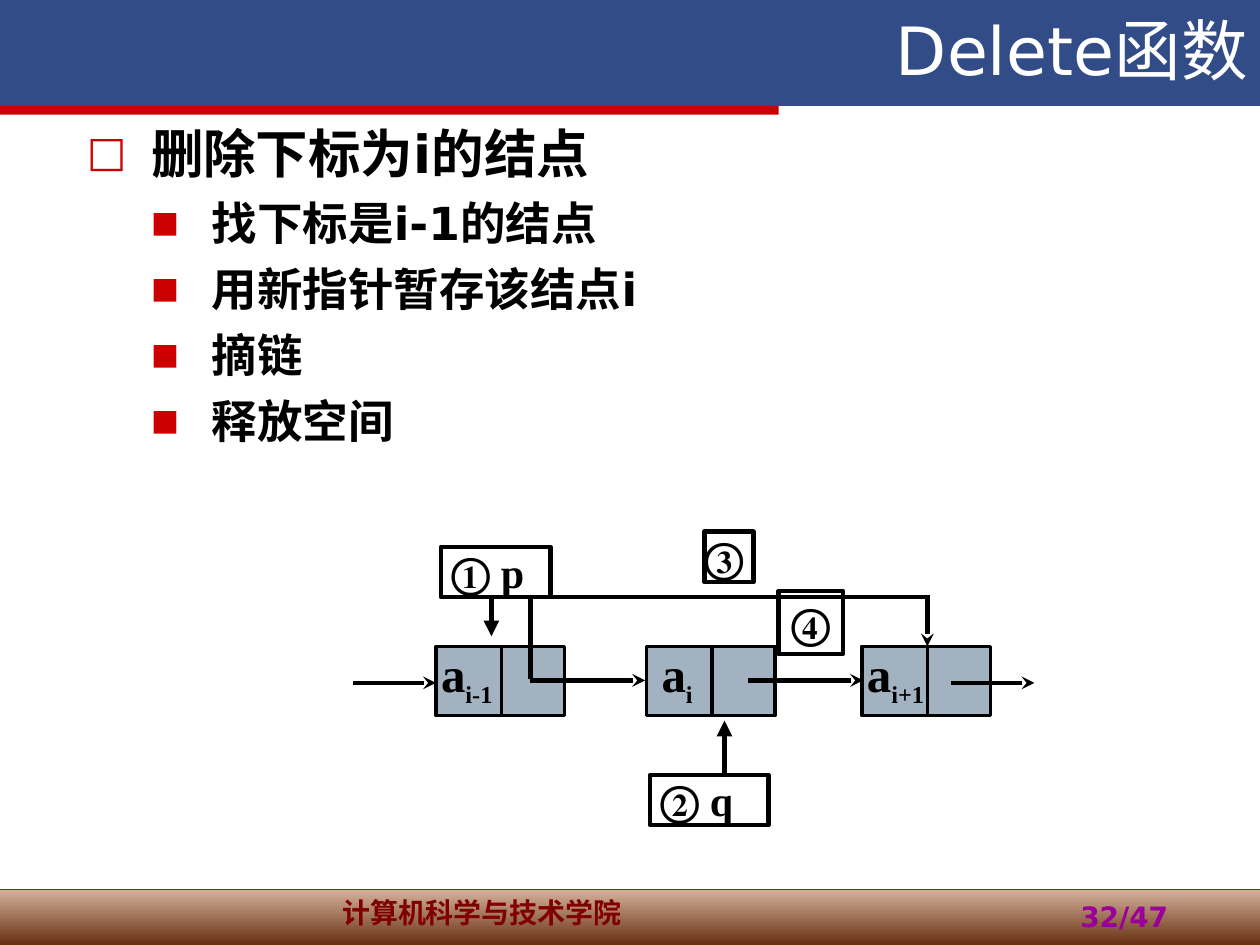
from dataclasses import dataclass
from typing import Optional

from lxml import etree
from pptx import Presentation
from pptx.dml.color import RGBColor
from pptx.enum import shapes, text
from pptx.oxml import ns
from pptx.util import Inches, Pt

COLORS = {
    "header": "314C87", "accent": "CC0000", "node": "A3B2C1", "ink": "000000",
    "white": "FFFFFF", "school": "800000", "page": "990099",
    "footer_top": "D6B19C", "footer_bottom": "663012",
}
SANS, SERIF = "DejaVu Sans", "Times New Roman"
NODE_TOP, NODE_WIDTH, NODE_HEIGHT = 5.13, 1.02, 0.55


@dataclass
class Node:
    left: float
    subscript: str
    inset: float


@dataclass
class Arrow:
    start: tuple[float, float]
    end: tuple[float, float]
    head: Optional[str] = "stealth"
    width: float = 2.5
    color: str = "ink"


@dataclass
class Label:
    words: str
    box: tuple[float, float, float, float]
    insets: tuple[float, float]


@dataclass
class Bullet:
    mark: str
    scale: int
    size: int
    indent: float
    hanging: float
    before: float


NODES = [Node(3.46, "i-1", 0.04), Node(5.13, "i", 0.12), Node(6.84, "i+1", 0.04)]
ARROWS = [
    Arrow((2.8, 5.42), (3.46, 5.42)),
    Arrow((4.21, 5.4), (5.12, 5.4)),
    Arrow((7.55, 5.42), (8.21, 5.42)),
    Arrow((4.21, 4.74), (7.38, 4.74), None),
    Arrow((7.36, 4.74), (7.36, 5.13)),
    Arrow((4.21, 4.72), (4.21, 5.39), None),
    Arrow((5.94, 5.4), (6.85, 5.4)),
    Arrow((3.9, 4.73), (3.9, 5.05), "triangle", 3),
    Arrow((5.75, 6.15), (5.75, 5.72), "triangle", 3),
]
LABELS = [
    Label("① p", (3.5, 4.34, 0.87, 0.4), (0.08, 0)),
    Label("② q", (5.16, 6.15, 0.94, 0.4), (0.08, 0)),
    Label("③", (5.59, 4.22, 0.39, 0.4), (0, 0)),
    Label("④", (6.18, 4.69, 0.51, 0.5), (0.1, 0.05)),
]
TOPIC = Bullet("□", 80, 30, 0.51, 0.51, 0)
STEP = Bullet("■", 65, 26, 0.99, 0.48, 6.5)
OUTLINE = [
    (TOPIC, "删除下标为i的结点"),
    (STEP, "找下标是i-1的结点"),
    (STEP, "用新指针暂存该结点i"),
    (STEP, "摘链"),
    (STEP, "释放空间"),
]


def rgb(name: str) -> RGBColor:
    """Look up a named colour."""
    return RGBColor.from_string(COLORS[name])


def style(paragraph, size: float, color: str = "ink", face: str = SANS, bold: bool = True) -> None:
    """Set the font of a paragraph."""
    font = paragraph.font
    font.size, font.name, font.bold = Pt(size), face, bold
    font.color.rgb = rgb(color)


def set_insets(frame, left: float, top: float, right: float, bottom: float) -> None:
    """Set the four insets of a text frame."""
    frame.margin_left, frame.margin_top = Inches(left), Inches(top)
    frame.margin_right, frame.margin_bottom = Inches(right), Inches(bottom)


def add_box(slide, box, fill: Optional[str] = None, line: float = 0):
    """Draw a rectangle with an optional fill and black outline."""
    rectangle = slide.shapes.add_shape(shapes.MSO_SHAPE.RECTANGLE, *map(Inches, box))
    rectangle.shadow.inherit = False
    if fill:
        rectangle.fill.solid()
        rectangle.fill.fore_color.rgb = rgb(fill)
    else:
        rectangle.fill.background()
    if line:
        rectangle.line.color.rgb = rgb("ink")
        rectangle.line.width = Pt(line)
    else:
        rectangle.line.fill.background()
    return rectangle


def add_arrow(slide, arrow: Arrow) -> None:
    """Draw a straight line with an optional arrowhead."""
    connector = slide.shapes.add_connector(
        shapes.MSO_CONNECTOR.STRAIGHT, *map(Inches, arrow.start + arrow.end))
    connector.line.color.rgb = rgb(arrow.color)
    connector.line.width = Pt(arrow.width)
    if arrow.head:
        etree.SubElement(connector.line._get_or_add_ln(), ns.qn("a:tailEnd"), type=arrow.head)
    etree.SubElement(connector._element.spPr, ns.qn("a:effectLst"))


def add_caption(slide, words: str, box, size: float, color: str, align, bold: bool = True):
    """Place a single line of text and return its frame."""
    frame = slide.shapes.add_textbox(*map(Inches, box)).text_frame
    frame.word_wrap = True
    paragraph = frame.paragraphs[0]
    paragraph.text, paragraph.alignment = words, align
    style(paragraph, size, color, bold=bold)
    return frame


def add_outline(slide) -> None:
    """Write the bulleted outline."""
    frame = slide.shapes.add_textbox(*map(Inches, (0.59, 0.91, 8.75, 6.06))).text_frame
    frame.word_wrap = True
    for index, (bullet, words) in enumerate(OUTLINE):
        paragraph = frame.add_paragraph() if index else frame.paragraphs[0]
        paragraph.text = words
        if bullet.before:
            paragraph.space_before = Pt(bullet.before)
        props = paragraph._p.get_or_add_pPr()
        props.set("marL", str(Inches(bullet.indent)))
        props.set("indent", str(-Inches(bullet.hanging)))
        color = etree.SubElement(props, ns.qn("a:buClr"))
        etree.SubElement(color, ns.qn("a:srgbClr"), val=COLORS["accent"])
        etree.SubElement(props, ns.qn("a:buSzPct"), val=str(bullet.scale * 1000))
        etree.SubElement(props, ns.qn("a:buFont"), typeface=SANS)
        etree.SubElement(props, ns.qn("a:buChar"), char=bullet.mark)
        style(paragraph, bullet.size)


def add_node(slide, node: Node) -> None:
    """Draw a list node with its data and pointer cells."""
    box = add_box(slide, (node.left, NODE_TOP, NODE_WIDTH, NODE_HEIGHT), "node", 2)
    frame = box.text_frame
    frame.word_wrap = False
    frame.vertical_anchor = text.MSO_ANCHOR.MIDDLE
    set_insets(frame, node.inset, 0, 0, 0.08)
    paragraph = frame.paragraphs[0]
    paragraph.alignment = text.PP_ALIGN.LEFT
    style(paragraph, 28, face=SERIF)
    paragraph.add_run().text = "a"
    subscript = paragraph.add_run()
    subscript.text = node.subscript
    subscript.font.size = Pt(24)
    subscript.font._element.set("baseline", "-25000")
    middle = node.left + 0.52
    add_arrow(slide, Arrow((middle, NODE_TOP), (middle, NODE_TOP + NODE_HEIGHT), None, 2))


def add_label(slide, label: Label) -> None:
    """Draw a framed step label."""
    frame = add_box(slide, label.box, line=2.5).text_frame
    frame.word_wrap = True
    frame.vertical_anchor = text.MSO_ANCHOR.TOP
    side, edge = label.insets
    set_insets(frame, side, edge, 0, edge)
    paragraph = frame.paragraphs[0]
    paragraph.text, paragraph.alignment = label.words, text.PP_ALIGN.LEFT
    style(paragraph, 24, face=SERIF)


def add_frame(slide) -> None:
    """Draw the header and footer bands with their text."""
    footer = add_box(slide, (0, 7.06, 10, 0.44), "footer_top")
    footer.fill.gradient()
    footer.fill.gradient_angle = 270
    for stop, position, name in zip(footer.fill.gradient_stops, (0, 1), ("footer_top", "footer_bottom")):
        stop.position, stop.color.rgb = position, rgb(name)
    add_arrow(slide, Arrow((0, 7.06), (10, 7.06), None, 0.25, "accent"))
    add_box(slide, (0, 0, 10, 0.84), "header")
    add_box(slide, (0, 0.84, 6.18, 0.07), "accent")
    align = text.PP_ALIGN
    add_caption(slide, "计算机科学与技术学院", (2.24, 7.06, 3.17, 0.44), 16, "school", align.CENTER)
    add_caption(slide, "32/47", (7.2, 7.09, 2.17, 0.44), 16, "page", align.RIGHT)
    title = add_caption(slide, "Delete函数", (3.11, 0, 6.89, 0.75), 38, "white", align.RIGHT, False)
    title.vertical_anchor = text.MSO_ANCHOR.BOTTOM


def main() -> None:
    """Build the slide and save it."""
    deck = Presentation()
    deck.slide_width, deck.slide_height = Inches(10), Inches(7.5)
    slide = deck.slides.add_slide(deck.slide_layouts[6])
    add_frame(slide)
    add_outline(slide)
    for draw, items in ((add_node, NODES), (add_arrow, ARROWS), (add_label, LABELS)):
        for item in items:
            draw(slide, item)
    deck.save("out.pptx")


if __name__ == "__main__":
    main()
